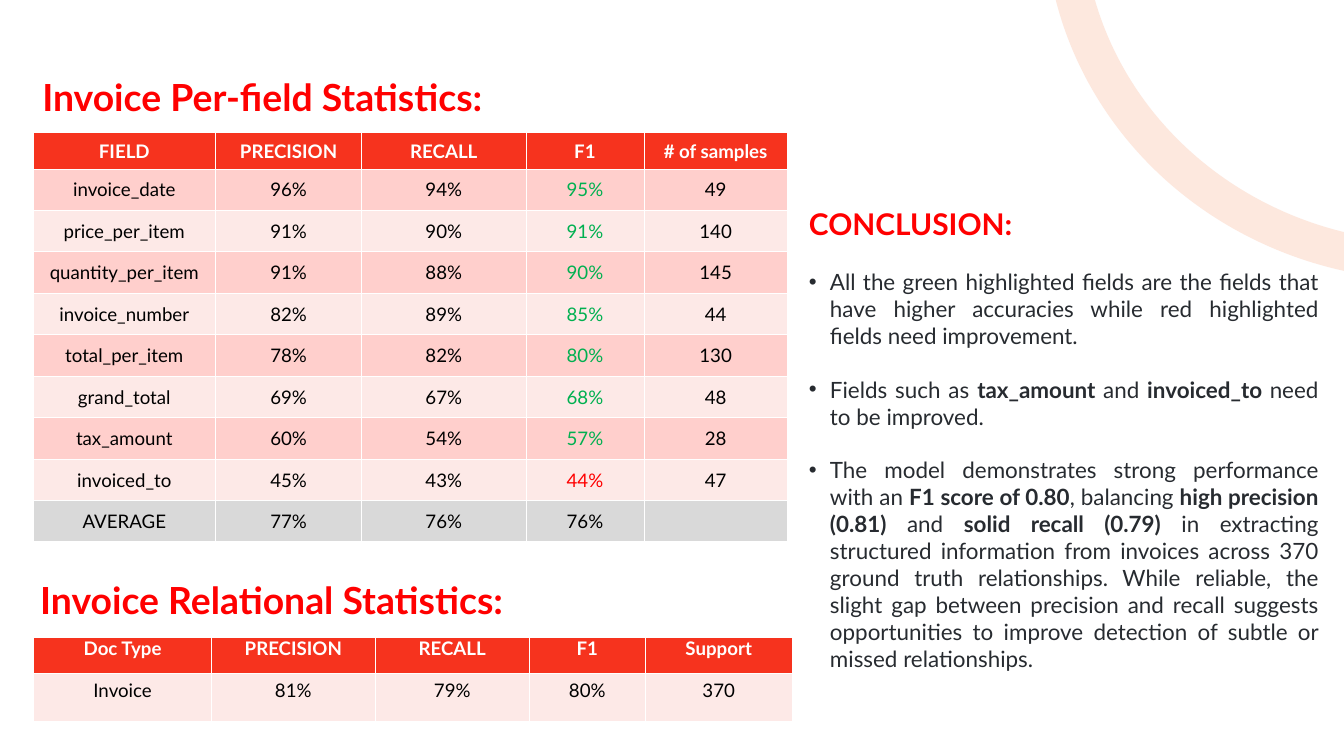
import pptx
import pptx.dml.color
import pptx.enum.shapes
import pptx.enum.text
import pptx.oxml
import pptx.oxml.ns
import pptx.util

Pt = pptx.util.Pt
ALIGN = pptx.enum.text.PP_ALIGN
ANCHOR = pptx.enum.text.MSO_ANCHOR
NS = pptx.oxml.ns.nsdecls("a")

COLORS = {
    "red": "FF0000", "green": "00B050", "header": "F6331E", "rose": "FFCFCC",
    "blush": "FDE9E7", "gray": "D9D9D9", "ring": "F15204", "body": "272B30",
    "white": "FFFFFF", "black": "000000",
}
FONT = "Lato"

# Content
FIELD_TITLE = "Invoice Per-field Statistics:"
FIELD_ROWS = [
    ("FIELD", "PRECISION", "RECALL", "F1", "# of samples"),
    ("invoice_date", "96%", "94%", "95%", "49"),
    ("price_per_item", "91%", "90%", "91%", "140"),
    ("quantity_per_item", "91%", "88%", "90%", "145"),
    ("invoice_number", "82%", "89%", "85%", "44"),
    ("total_per_item", "78%", "82%", "80%", "130"),
    ("grand_total", "69%", "67%", "68%", "48"),
    ("tax_amount", "60%", "54%", "57%", "28"),
    ("invoiced_to", "45%", "43%", "44%", "47"),
    ("AVERAGE", "77%", "76%", "76%", ""),
]
RELATION_TITLE = "Invoice Relational Statistics:"
RELATION_ROWS = [
    ("Doc Type", "PRECISION", "RECALL", "F1", "Support"),
    ("Invoice", "81%", "79%", "80%", "370"),
]
CONCLUSION_TITLE = "CONCLUSION:"
# Text between ** marks is bold
CONCLUSIONS = [
    "All the green highlighted fields are the fields that have higher accuracies "
    "while red highlighted fields need improvement.",
    "Fields such as **tax_amount **and **invoiced_to **need to be improved.",
    "The model demonstrates strong performance with an **F1 score of 0.80**, balancing "
    "**high precision (0.81)** and **solid recall (0.79)** in extracting structured "
    "information from invoices across 370 ground truth relationships. While reliable, "
    "the slight gap between precision and recall suggests opportunities to improve "
    "detection of subtle or missed relationships.",
]
FIELD_COLS = [195.84, 156.24, 176.4, 126, 154.08]
FIELD_HEIGHTS = [39] + [44.4] * 9
RELATION_COLS = [190.8, 175, 165.6, 123.8, 157.8]
RELATION_HEIGHTS = [38.8, 51.2]
F1_COL = 3
PASS_MARK = 50


def rgb(name):
    return pptx.dml.color.RGBColor.from_string(COLORS[name])


def write(p, text, size=20, color="black", bold=False, align=ALIGN.LEFT, before=0, spacing=None):
    p.alignment = align
    if before:
        p.space_before = Pt(before)
    if spacing:
        p.line_spacing = Pt(spacing)
    for i, part in enumerate(text.split("**")):
        if part:
            r = p.add_run()
            r.text = part
            r.font.name = FONT
            r.font.size = Pt(size)
            r.font.bold = bold or i % 2 == 1
            r.font.color.rgb = rgb(color)


def place(sp, left, top, width, height):
    sp.left, sp.top, sp.width, sp.height = Pt(left), Pt(top), Pt(width), Pt(height)
    tf = sp.text_frame
    tf.word_wrap = True
    tf.auto_size = pptx.enum.text.MSO_AUTO_SIZE.SHAPE_TO_FIT_TEXT
    tf.vertical_anchor = ANCHOR.TOP
    return tf


def add_box(s, *box):
    return place(s.shapes.add_textbox(0, 0, 0, 0), *box)


def add_bullet(p, indent):
    pPr = p._p.get_or_add_pPr()
    pPr.set("marL", str(Pt(indent)))
    pPr.set("indent", str(-Pt(indent)))
    pPr.append(pptx.oxml.parse_xml(f'<a:buFont {NS} typeface="Arial"/>'))
    pPr.append(pptx.oxml.parse_xml(f'<a:buChar {NS} char="•"/>'))


def add_borders(cell, width):
    tcPr = cell._tc.get_or_add_tcPr()
    for side in "LRTB":
        tcPr.append(pptx.oxml.parse_xml(
            f'<a:ln{side} {NS} w="{Pt(width)}"><a:solidFill>'
            f'<a:srgbClr val="{COLORS["white"]}"/></a:solidFill></a:ln{side}>'))


def row_fill(i, row, first):
    if i == 0:
        return "header"
    if row[0] == "AVERAGE":
        return "gray"
    return first if i % 2 else "rose" if first == "blush" else "blush"


def add_stats(s, rows, left, top, cols, heights, first, border, bottom, spacing=None, grade=False):
    table = s.shapes.add_table(len(rows), len(cols), Pt(left), Pt(top),
                               Pt(sum(cols)), Pt(sum(heights))).table
    for col, width in zip(table.columns, cols):
        col.width = Pt(width)
    for i, (row, height) in enumerate(zip(rows, heights)):
        table.rows[i].height = Pt(height)
        fill = row_fill(i, row, first)
        for j, text in enumerate(row):
            cell = table.cell(i, j)
            add_borders(cell, border)
            cell.fill.solid()
            cell.fill.fore_color.rgb = rgb(fill)
            cell.margin_left = cell.margin_right = cell.margin_top = Pt(0.72)
            cell.margin_bottom = Pt(bottom)
            cell.vertical_anchor = ANCHOR.MIDDLE
            color = "white" if i == 0 else "black"
            if grade and j == F1_COL and fill in ("rose", "blush"):
                color = "green" if int(text.rstrip("%")) >= PASS_MARK else "red"
            write(cell.text_frame.paragraphs[0], text, color=color, bold=i == 0,
                  align=ALIGN.CENTER, spacing=spacing)


def main():
    prs = pptx.Presentation()
    prs.slide_width, prs.slide_height = Pt(1440), Pt(810)
    s = prs.slides.add_slide(prs.slide_layouts[5])

    # Title
    tf = place(s.shapes.title, 38.2, 75.6, 650, 55.4)
    write(tf.paragraphs[0], FIELD_TITLE, size=40, color="red", bold=True)

    # Conclusion
    tf = add_box(s, 859.7, 216.7, 560, 510)
    write(tf.paragraphs[0], CONCLUSION_TITLE, size=32, color="red", bold=True)
    for text in CONCLUSIONS:
        p = tf.add_paragraph()
        write(p, text, size=24, color="body", align=ALIGN.JUSTIFY, before=28.8)
        add_bullet(p, 22.5)

    # Per-field table
    add_stats(s, FIELD_ROWS, 35.3, 141.8, FIELD_COLS, FIELD_HEIGHTS,
              first="rose", border=0.5, bottom=0, grade=True)

    # Corner ring
    ring = s.shapes.add_shape(pptx.enum.shapes.MSO_SHAPE.OVAL,
                              Pt(1139.8), Pt(-465.1), Pt(787), Pt(745.2))
    ring.shadow.inherit = False
    ring.fill.background()
    ring.line.width = Pt(40.5)
    ring.line.color.rgb = rgb("ring")
    clr = ring._element.spPr.find(".//" + pptx.oxml.ns.qn("a:srgbClr"))
    clr.append(pptx.oxml.parse_xml(f'<a:alpha {NS} val="12000"/>'))

    # Relational table
    add_stats(s, RELATION_ROWS, 36, 682.6, RELATION_COLS, RELATION_HEIGHTS,
              first="blush", border=0.75, bottom=3.6, spacing=12)
    tf = add_box(s, 36, 614.9, 522, 55.4)
    write(tf.paragraphs[0], RELATION_TITLE, size=40, color="red", bold=True)

    prs.save("out.pptx")


if __name__ == "__main__":
    main()
